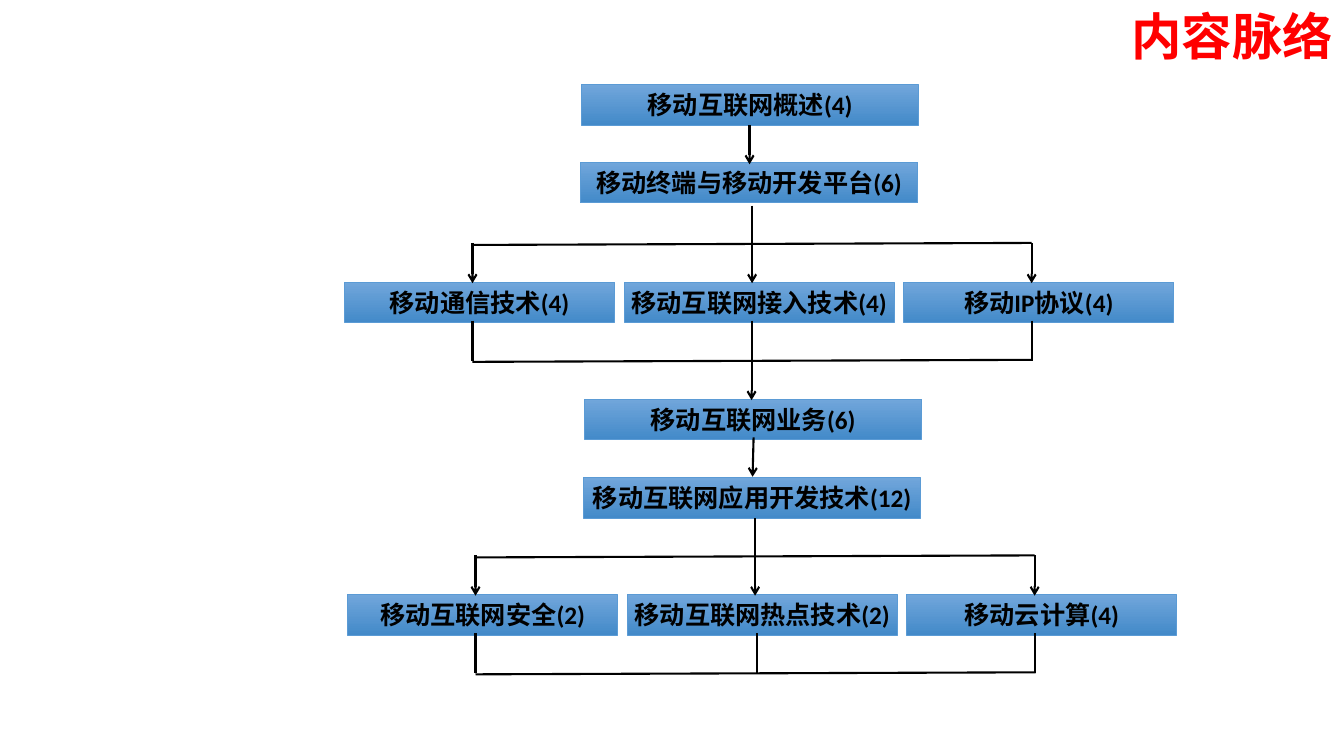
"""Build the course outline flowchart slide."""
from lxml.etree import SubElement
from pptx import Presentation
from pptx.dml.color import RGBColor
from pptx.enum.shapes import MSO_CONNECTOR as Connector, MSO_SHAPE as Shape
from pptx.enum.text import MSO_ANCHOR as Anchor, MSO_AUTO_SIZE as AutoSize, PP_ALIGN as Align
from pptx.oxml.ns import qn
from pptx.util import Pt

PX = 9144
FONT = "Calibri"
TITLE = "内容脉络"
CHAPTERS = [
    ("移动互联网概述(4)", 577, 84),
    ("移动终端与移动开发平台(6)", 576, 161),
    ("移动互联网业务(6)", 580, 396),
    ("移动互联网应用开发技术(12)", 579, 474),
]
BRANCHES = [
    (342, 280, ["移动通信技术(4)", "移动互联网接入技术(4)", "移动IP协议(4)"]),
    (345, 590, ["移动互联网安全(2)", "移动互联网热点技术(2)", "移动云计算(4)"]),
]
ARROWS = [(744, 124, 744, 163), (748, 434, 747, 473), (746, 318, 746, 397)]
LAST_LEG = (751, 628, 751, 668)
CHAPTER_WIDTH, TOPIC_WIDTH, BOX_HEIGHT = 335, 268, 40
TOPIC_STEP = 277.5
LEG = 40


def color(value):
    return RGBColor.from_string(value)


def px(*values):
    return [round(value * PX) for value in values]


def write(shape, text, size, hex_color, align, margin):
    frame = shape.text_frame
    frame.word_wrap = True
    frame.auto_size = AutoSize.SHAPE_TO_FIT_TEXT
    frame.margin_left, frame.margin_right, frame.margin_top, frame.margin_bottom = px(margin, margin, 5, 5)
    paragraph = frame.paragraphs[0]
    paragraph.alignment = align
    run = paragraph.add_run()
    run.text = text
    run.font.name = FONT
    run.font.size = Pt(size)
    run.font.bold = True
    run.font.color.rgb = color(hex_color)


def add_box(slide, text, left, top, width):
    shape = slide.shapes.add_shape(Shape.RECTANGLE, *px(left, top, width, BOX_HEIGHT))
    shape.shadow.inherit = False
    shape.fill.gradient()
    shape.fill.gradient_angle = 270
    for stop, position, shade in zip(shape.fill.gradient_stops, (0, 1), ("71A6DB", "438AC9")):
        stop.position = position
        stop.color.rgb = color(shade)
    shape.line.color.rgb = color("5B9BD5")
    shape.line.width = Pt(0.5)
    shape.text_frame.vertical_anchor = Anchor.TOP
    write(shape, text, 18, "000000", Align.CENTER, 0)


def add_line(slide, ends, arrow=False):
    connector = slide.shapes.add_connector(Connector.STRAIGHT, *px(*ends))
    connector.line.color.rgb = color("000000")
    connector.line.width = Pt(1.5)
    if arrow:
        SubElement(connector.line._get_or_add_ln(), qn("a:tailEnd"), type="arrow")
    SubElement(connector._element.spPr, qn("a:effectLst"))


def add_branch(slide, left, top, topics):
    first = left + 127
    centers = [first + TOPIC_STEP * index for index in range(len(topics))]
    middle, last = centers[1], centers[-1]
    for index, topic in enumerate(topics):
        add_box(slide, topic, left + TOPIC_STEP * index, top, TOPIC_WIDTH)
    add_line(slide, (middle, top - 76, middle, top - 37))
    add_line(slide, (first - 1, top - 37, last, top - 39))
    for center in centers:
        add_line(slide, (center, top + 1 - LEG, center, top + 1), arrow=True)
    for center in (first, last):
        add_line(slide, (center, top + 38, center, top + 38 + LEG))
    add_line(slide, (first, top + 79, last + 1, top + 77))


def main():
    presentation = Presentation()
    presentation.slide_width, presentation.slide_height = px(1334, 750)
    slide = presentation.slides.add_slide(presentation.slide_layouts[6])
    title = slide.shapes.add_textbox(*px(577, 0, 756, 70))
    write(title, TITLE, 36, "FF0000", Align.RIGHT, 10)
    for text, left, top in CHAPTERS:
        add_box(slide, text, left, top, CHAPTER_WIDTH)
    for branch in BRANCHES:
        add_branch(slide, *branch)
    for ends in ARROWS:
        add_line(slide, ends, arrow=True)
    add_line(slide, LAST_LEG)
    presentation.save("out.pptx")


if __name__ == "__main__":
    main()
